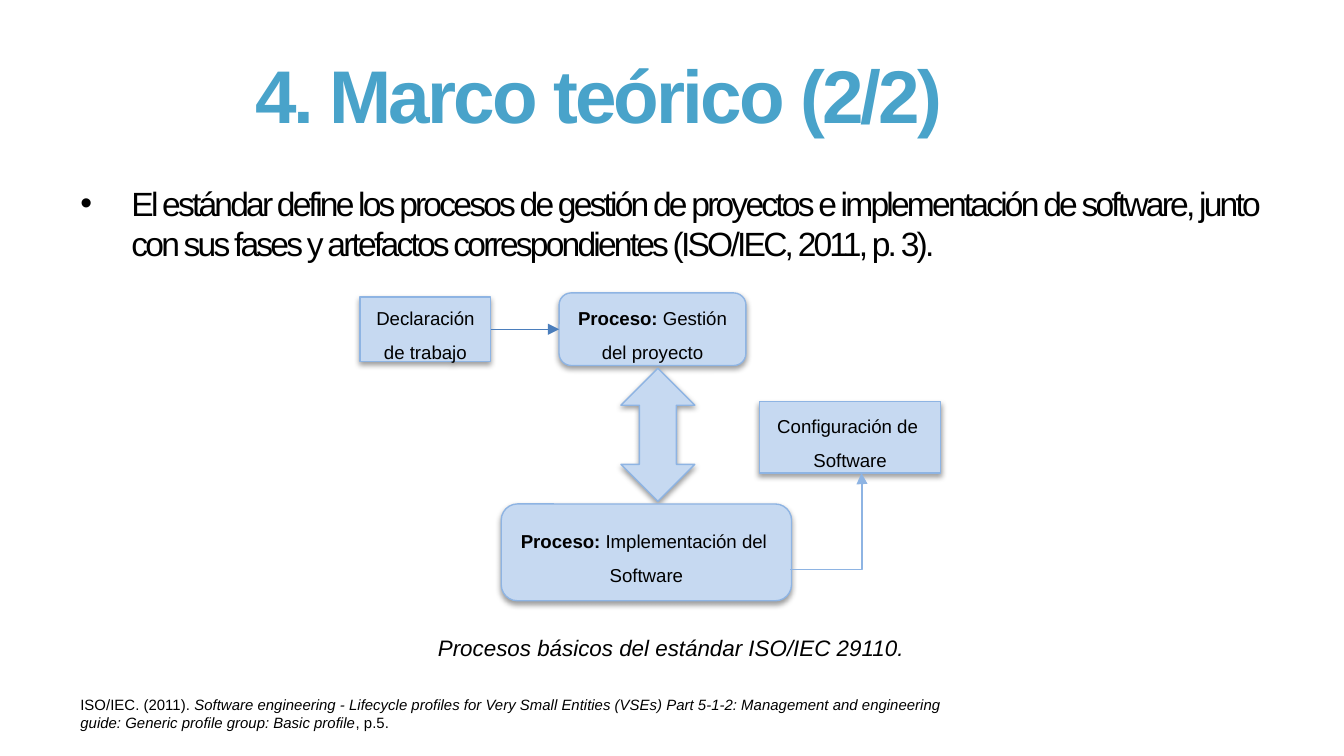
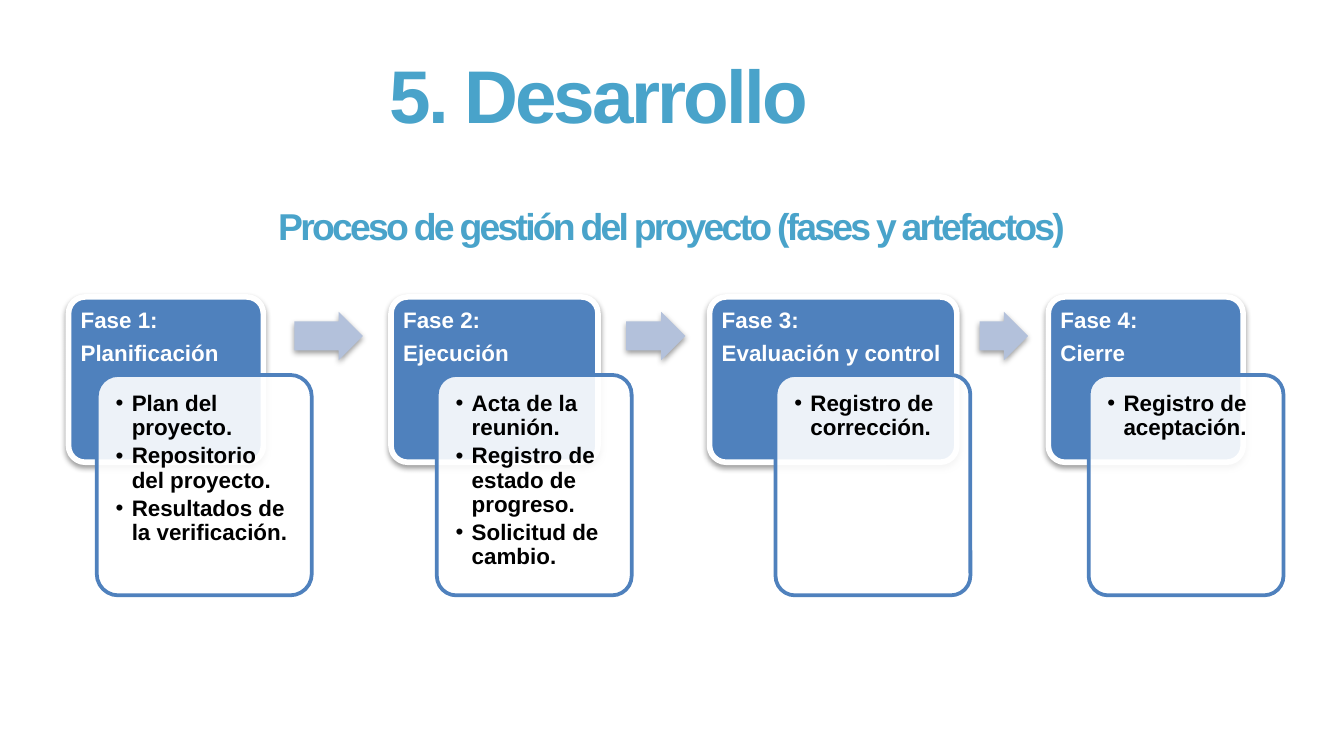
from lxml.etree import SubElement
from pptx import Presentation
from pptx.dml.color import RGBColor
from pptx.enum.shapes import MSO_CONNECTOR as CONNECTOR, MSO_SHAPE as SHAPE
from pptx.enum.text import MSO_ANCHOR as ANCHOR, PP_ALIGN as ALIGN
from pptx.oxml import parse_xml
from pptx.oxml.ns import nsdecls, qn
from pptx.util import Inches, Pt

TITLE_BLUE = RGBColor(0x49, 0xA3, 0xCA)
PALE_BLUE = RGBColor(0xC6, 0xD9, 0xF1)
EDGE_BLUE = RGBColor(0x8E, 0xB4, 0xE3)
ARROW_BLUE = RGBColor(0x4B, 0x7E, 0xBC)
PHASE_BLUE = RGBColor(0x4F, 0x81, 0xBD)
GREY_BLUE = RGBColor(0xB3, 0xC1, 0xDB)
BLACK = RGBColor(0, 0, 0)
WHITE = RGBColor(0xFF, 0xFF, 0xFF)

SHADOW = (
    f'<a:effectLst {nsdecls("a")}><a:outerShdw blurRad="{Pt(3.1)}" dist="{Pt(1.6)}" '
    'dir="5400000" rotWithShape="0"><a:srgbClr val="000000"><a:alpha val="38000"/>'
    '</a:srgbClr></a:outerShdw></a:effectLst>'
)
CENTERED = {"alignment": ALIGN.CENTER}
MIDDLE = {"vertical_anchor": ANCHOR.MIDDLE}
LABEL = {"alignment": ALIGN.CENTER, "line_spacing": 1.5}
BOLD = {"bold": True}
BOLD_12 = {"size": Pt(12), "bold": True}


def write_text(shape, paragraphs, font, color=BLACK, layout={}, frame={}, indent=0, tracking=0):
    text_frame = shape.text_frame
    for name, value in {"word_wrap": True, **frame}.items():
        setattr(text_frame, name, value)
    for index, runs in enumerate(paragraphs):
        paragraph = text_frame.paragraphs[0] if index == 0 else text_frame.add_paragraph()
        if indent:
            properties = paragraph._p.get_or_add_pPr()
            properties.set("marL", str(Inches(indent)))
            properties.set("indent", str(-Inches(indent)))
            SubElement(properties, qn("a:buFont")).set("typeface", "Arial")
            SubElement(properties, qn("a:buChar")).set("char", "•")
        for name, value in layout.items():
            setattr(paragraph, name, value)
        for text, changes in runs:
            run = paragraph.add_run()
            run.text = text
            run.font.color.rgb = color
            for name, value in {"name": "Arial", **font, **changes}.items():
                setattr(run.font, name, value)
            if tracking:
                run._r.get_or_add_rPr().set("spc", str(round(tracking * 100)))


def add_box(slide, kind, place, fill, edge=None, width=0.75, shadow=True):
    shape = slide.shapes.add_shape(kind, *map(Inches, place))
    shape.shadow.inherit = False
    shape.fill.solid()
    shape.fill.fore_color.rgb = fill
    if edge is None:
        shape.line.fill.background()
    else:
        shape.line.color.rgb = edge
        shape.line.width = Pt(width)
    if shadow:
        properties = shape._element.spPr
        properties.replace(properties.find(qn("a:effectLst")), parse_xml(SHADOW))
    return shape


presentation = Presentation()
presentation.slide_width = Inches(10)
presentation.slide_height = Inches(10) * 9 // 16

slides = []
for heading in ("4. Marco teórico (2/2)", "5. Desarrollo"):
    slide = presentation.slides.add_slide(presentation.slide_layouts[5])
    title = slide.shapes.title
    title.left, title.top, title.width, title.height = map(Inches, (0.5, 0.23, 7.91, 0.94))
    write_text(title, [[(heading, {})]], {"size": Pt(40), "bold": True}, TITLE_BLUE,
               CENTERED, MIDDLE, tracking=-1.5)
    slides.append(slide)
theory, development = slides

body = theory.shapes.add_textbox(*map(Inches, (0.5, 1.31, 9, 1.09)))
write_text(body, [[(
    "El estándar define los procesos de gestión de proyectos e implementación de software, "
    "junto con sus fases y artefactos correspondientes (ISO/IEC, 2011, p. 3).", {})]],
    {"size": Pt(18)}, indent=0.38, tracking=-1.5)

process_boxes = []
for kind, place, paragraphs in (
    (SHAPE.RECTANGLE, (2.68, 2.21, 0.97, 0.48), [[("Declaración de trabajo", {})]]),
    (SHAPE.ROUNDED_RECTANGLE, (4.16, 2.18, 1.39, 0.54),
     [[("Proceso:", BOLD), (" Gestión del proyecto", {})]]),
    (SHAPE.UP_DOWN_ARROW, (4.62, 2.74, 0.55, 0.99), []),
    (SHAPE.ROUNDED_RECTANGLE, (3.73, 3.75, 2.16, 0.72),
     [[("Proceso: ", BOLD), ("Implementación del ", {})], [("Software", {})]]),
    (SHAPE.RECTANGLE, (5.65, 2.99, 1.35, 0.53),
     [[("Configuración de ", {})], [("Software", {})]]),
):
    box = add_box(theory, kind, place, PALE_BLUE, EDGE_BLUE)
    write_text(box, paragraphs, {"size": Pt(10)}, layout=LABEL, frame=MIDDLE)
    process_boxes.append(box)
statement, management = process_boxes[:2]

for kind, ends, color in (
    (CONNECTOR.STRAIGHT, (3.68, 2.45, 4.15, 2.45), ARROW_BLUE),
    (CONNECTOR.ELBOW, (5.88, 4.24, 6.41, 3.52), EDGE_BLUE),
):
    connector = theory.shapes.add_connector(kind, *map(Inches, ends))
    connector.line.color.rgb = color
    connector.line.width = Pt(0.75)
    SubElement(connector.line._get_or_add_ln(), qn("a:tailEnd")).set("type", "triangle")
    properties = connector._element.spPr
    SubElement(properties, qn("a:effectLst"))
    if kind == CONNECTOR.STRAIGHT:
        connector.begin_connect(statement, 3)
        connector.end_connect(management, 1)
    else:
        guide = SubElement(properties.find(qn("a:prstGeom")).find(qn("a:avLst")), qn("a:gd"))
        guide.set("name", "adj1")
        guide.set("fmla", "val 100800")

reference = theory.shapes.add_textbox(*map(Inches, (0.5, 5.13, 6.7, 0.37)))
write_text(reference, [[
    ("ISO/IEC. (2011). ", {}),
    ("Software engineering - Lifecycle profiles for Very Small Entities (VSEs) Part 5-1-2: "
     "Management and engineering guide: Generic profile group: Basic profile", {"italic": True}),
    (", p.5.", {})]], {"size": Pt(8)})

caption = theory.shapes.add_textbox(*map(Inches, (3.16, 4.67, 3.7, 0.3)))
write_text(caption, [[("Procesos básicos del estándar ISO/IEC 29110.", {})]],
           {"size": Pt(12), "italic": True}, frame={"word_wrap": False})

PHASE_TOP, CARD_TOP = 2.21, 2.79
INSET = Inches(0.09)
MARGINS = {"margin_left": INSET, "margin_top": INSET, "margin_right": INSET}
phases = (
    ("Planificación", 0.51, 1.45, 0.72, 1.6,
     ("Plan del proyecto.", "Repositorio del proyecto.", "Resultados de la verificación.")),
    ("Ejecución", 2.91, 1.54, 3.25, 1.45,
     ("Acta de la reunión.", "Registro de estado de progreso.", "Solicitud de cambio.")),
    ("Evaluación y control", 5.28, 1.84, 5.77, 1.45, ("Registro de corrección.",)),
    ("Cierre", 7.8, 1.45, 8.1, 1.45, ("Registro de aceptación.",)),
)
for number, (name, left, width, card_left, card_width, artifacts) in enumerate(phases, 1):
    panel = add_box(development, SHAPE.ROUNDED_RECTANGLE, (left, PHASE_TOP, width, 1.23),
                    PHASE_BLUE, WHITE, 3)
    panel.adjustments[0] = 0.1
    label = development.shapes.add_textbox(*map(Inches, (left, PHASE_TOP, width, 0.58)))
    write_text(label, [[(f"Fase {number}:", {})], [(name, {})]], BOLD_12, WHITE,
               {"line_spacing": 0.9, "space_after": Pt(4.5)}, MARGINS)

    card = add_box(development, SHAPE.ROUNDED_RECTANGLE, (card_left, CARD_TOP, card_width, 1.64),
                   WHITE, PHASE_BLUE, 2, shadow=False)
    card.adjustments[0] = 0.1
    fill_color = card._element.spPr.find(qn("a:solidFill")).find(qn("a:srgbClr"))
    SubElement(fill_color, qn("a:alpha")).set("val", "90000")
    artifact_list = development.shapes.add_textbox(
        *map(Inches, (card_left + 0.05, CARD_TOP + 0.04, card_width - 0.09, 1.55)))
    write_text(artifact_list, [[(artifact, {})] for artifact in artifacts], BOLD_12,
               layout={"level": 1, "line_spacing": 0.9, "space_after": Pt(2)},
               frame={**MARGINS, "margin_bottom": INSET}, indent=0.12)

for left, width in ((2.19, 0.51), (4.66, 0.44), (7.29, 0.36)):
    arrow = add_box(development, SHAPE.RIGHT_ARROW, (left, 2.32, width, 0.36), GREY_BLUE)
    arrow.adjustments[0] = 0.6

subtitle = development.shapes.add_textbox(*map(Inches, (0.47, 1.4, 9.05, 0.55)))
write_text(subtitle, [[("Proceso de gestión del proyecto (fases y artefactos)", {})]],
           {"size": Pt(20), "bold": True}, TITLE_BLUE, CENTERED, MIDDLE, tracking=-1.5)

presentation.save("out.pptx")
